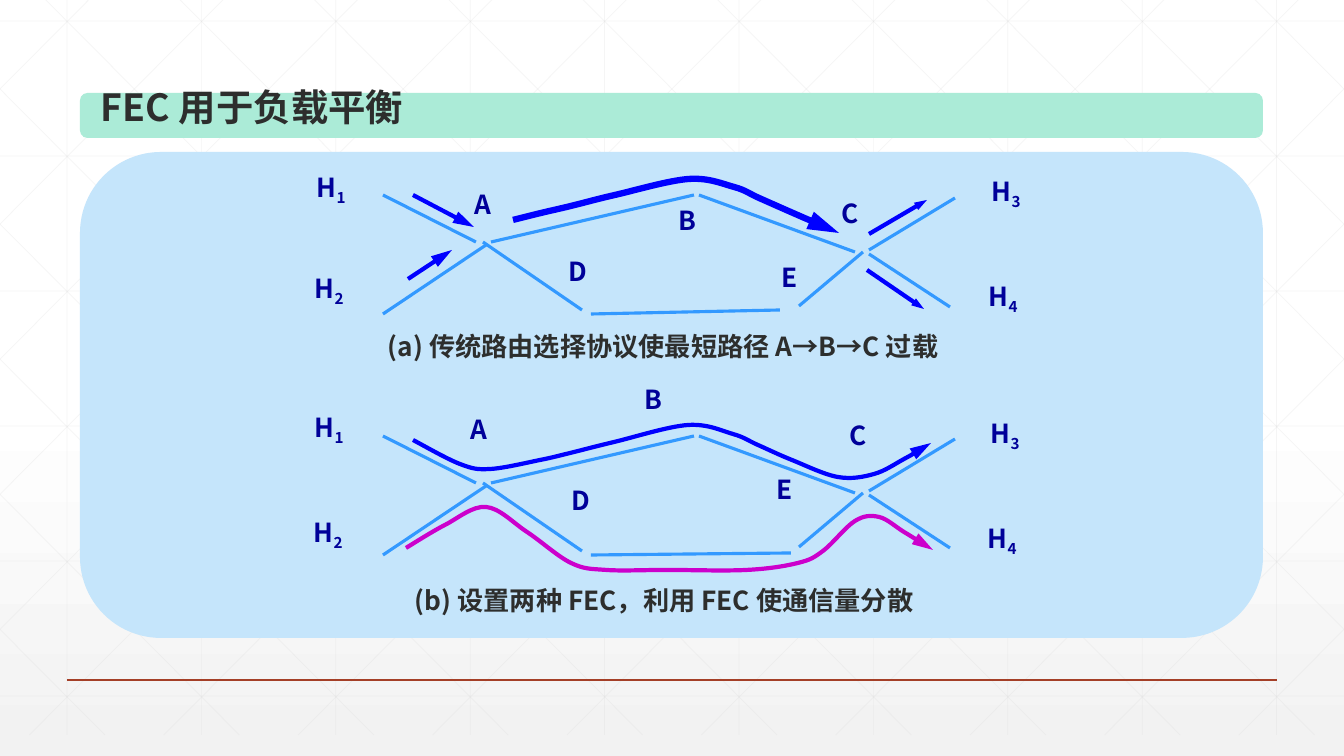
"""Build the slide on using FEC for load balancing."""
from lxml import etree
from pptx import Presentation
from pptx import util as u
from pptx.dml.color import RGBColor
from pptx.enum import shapes, text
from pptx.oxml.ns import qn

PX = 12192000 / 1344
WIDTH, HEIGHT = 1344, 756
FONT = "Noto Sans CJK SC"
WHITE = RGBColor(0xFF, 0xFF, 0xFF)
PALE_GREY = RGBColor(0xF2, 0xF2, 0xF2)
GRID_GREY = RGBColor(0xD9, 0xD9, 0xD9)
RULE_RED = RGBColor(0xA4, 0x3F, 0x27)
PANEL_BLUE = RGBColor(0xC5, 0xE5, 0xFB)
BAR_GREEN = RGBColor(0xAB, 0xEB, 0xD7)
INK = RGBColor(0x2D, 0x2E, 0x2D)
NAVY = RGBColor(0x00, 0x00, 0x99)
LINK_BLUE = RGBColor(0x33, 0x99, 0xFF)
FLOW_BLUE = RGBColor(0x00, 0x00, 0xFF)
FLOW_PURPLE = RGBColor(0xCC, 0x00, 0xCC)

deck = Presentation()
deck.slide_width, deck.slide_height = round(WIDTH * PX), round(HEIGHT * PX)
page = deck.slides.add_slide(deck.slide_layouts[6])


def draw(points, colour, width, head=None, alpha=None):
    """Draw a straight line through two points, or a smooth curve through more."""
    spots = [(round(x * PX), round(y * PX)) for x, y in points]
    if len(spots) == 2:
        shape = page.shapes.add_connector(shapes.MSO_CONNECTOR.STRAIGHT, *spots[0], *spots[1])
    else:
        around = [spots[0], *spots, spots[-1]]
        controls = []
        for before, start, end, after in zip(around, around[1:], around[2:], around[3:]):
            controls += [
                tuple(s + (e - b) / 6 for b, s, e in zip(before, start, end)),
                tuple(e - (a - s) / 6 for s, e, a in zip(start, end, after)),
                end,
            ]
        builder = page.shapes.build_freeform(*spots[0])
        builder.add_line_segments(controls, close=False)
        shape = builder.convert_to_shape()
        shape.fill.background()
        segments = list(shape.element.iter(qn("a:lnTo")))
        for first, second, third in zip(segments[::3], segments[1::3], segments[2::3]):
            first.tag = qn("a:cubicBezTo")
            for segment in (second, third):
                first.append(segment[0])
                segment.getparent().remove(segment)
    shape.line.color.rgb = colour
    shape.line.width = u.Pt(width)
    outline = shape.element.spPr.find(qn("a:ln"))
    if alpha:
        etree.SubElement(outline.find(".//" + qn("a:srgbClr")), qn("a:alpha"), val=str(alpha * 1000))
    if head:
        etree.SubElement(outline, qn("a:tailEnd"), type="triangle", w=head[0], len=head[1])
    etree.SubElement(shape.element.spPr, qn("a:effectLst"))


def write(words, left, top, width, height, size, colour, subscript="", wrap=False):
    """Place bold text, with an optional subscript after it."""
    box = page.shapes.add_textbox(*(round(n * PX) for n in (left, top, width, height)))
    frame = box.text_frame
    frame.word_wrap = wrap
    frame.auto_size = text.MSO_AUTO_SIZE.SHAPE_TO_FIT_TEXT
    para = frame.paragraphs[0]
    para.text = words
    para.line_spacing = 0.85
    if subscript:
        para.add_run().text = subscript
    for span in para.runs:
        span.font.name, span.font.size, span.font.bold = FONT, u.Pt(size), True
        span.font.color.rgb = colour
        properties = span.font.language_id and None or span._r.get_or_add_rPr()
        etree.SubElement(properties, qn("a:ea"), typeface=FONT)
    if subscript:
        properties.set("baseline", "-25000")


fill = page.background.fill
fill.gradient()
fill.gradient_angle = 270
stops = page.element.find(".//" + qn("a:gsLst"))
for stop in list(stops):
    stops.remove(stop)
for position, colour in ((0, WHITE), (53, WHITE), (100, PALE_GREY)):
    stop = etree.SubElement(stops, qn("a:gs"), pos=str(position * 1000))
    etree.SubElement(stop, qn("a:srgbClr"), val=str(colour))

GRID_TOP, GRID_BOTTOM, STEP, RUN = -21, 735, 134.4, 752
grid = [((x, GRID_TOP), (x, GRID_BOTTOM)) for x in (67 + STEP * i for i in range(10))]
grid += [((0, y), (WIDTH, y)) for y in (21 + 135 * i for i in range(6))]
for i in range(-5, 10):
    origin = 25 + STEP * i
    ends = [(x, GRID_TOP + (x - origin) * (GRID_BOTTOM - GRID_TOP) / RUN)
            for x in (max(0, origin), min(WIDTH, origin + RUN))]
    grid += [ends, [(WIDTH - x, y) for x, y in ends]]
for ends in grid:
    draw(ends, GRID_GREY, 0.5, alpha=25)
draw([(67, 680), (1277, 680)], RULE_RED, 1)

for top, height, colour in ((152, 486, PANEL_BLUE), (93, 45, BAR_GREEN)):
    panel = page.shapes.add_shape(
        shapes.MSO_SHAPE.ROUNDED_RECTANGLE, *(round(n * PX) for n in (80, top, 1183, height)))
    panel.fill.solid()
    panel.fill.fore_color.rgb = colour
    panel.line.fill.background()
    panel.shadow.inherit = False
write("FEC 用于负载平衡", 91, 86, 766, 55, 26.7, INK, wrap=True)

links = [
    ((383, 195), (476, 242)), ((383, 314), (486, 245)), ((491, 242), (694, 195)),
    ((699, 195), (855, 252)), ((483, 242), (582, 310)), ((799, 306), (863, 252)),
    ((869, 250), (955, 198)), ((869, 254), (950, 307)),
]
for drop, bottom_end in ((0, (780, 310)), (241, (791, 312))):
    for ends in links + [((591, 314), bottom_end)]:
        draw([(x, y + drop) for x, y in ends], LINK_BLUE, 2.25)

LONG, SHORT = ("med", "lg"), ("sm", "med")
flows = [
    ([(513, 220), (541, 213), (571, 206), (615, 195), (689, 179), (734, 187), (759, 198),
      (793, 213), (839, 233)], FLOW_BLUE, 4.5, LONG),
    ([(413, 195), (474, 227)], FLOW_BLUE, 3, LONG),
    ([(408, 279), (452, 250)], FLOW_BLUE, 3, LONG),
    ([(867, 270), (924, 309)], FLOW_BLUE, 3, SHORT),
    ([(869, 234), (927, 200)], FLOW_BLUE, 3, SHORT),
    ([(413, 440), (460, 464), (490, 469), (540, 460), (570, 453), (614, 442), (688, 425),
      (733, 434), (758, 445), (792, 460), (838, 477), (874, 474), (904, 459), (931, 443)],
     FLOW_BLUE, 3, LONG),
    ([(406, 548), (445, 525), (486, 507), (527, 532), (571, 563), (606, 570), (667, 570),
      (747, 570), (798, 563), (823, 551), (855, 521), (879, 517), (904, 532), (933, 550)],
     FLOW_PURPLE, 3, LONG),
]
for flow in flows:
    draw(*flow)

label_widths = {"A": 40, "B": 38, "C": 38, "D": 41, "E": 35, "H": 52}
label_spots = {
    "H1": [(307, 168), (305, 408)], "H2": [(305, 269), (304, 513)],
    "H3": [(982, 172), (981, 414)], "H4": [(979, 277), (978, 519)],
    "A": [(465, 188), (461, 413)], "B": [(669, 204), (635, 383)],
    "C": [(832, 197), (840, 419)], "D": [(559, 255), (562, 484)],
    "E": [(772, 261), (767, 473)],
}
for name, spots in label_spots.items():
    for left, top in spots:
        write(name[0], left, top, label_widths[name[0]], 42, 18.7, NAVY, name[1:])

write("(a) 传统路由选择协议使最短路径 A→B→C 过载", 378, 330, 591, 42, 18.7, INK)
write("(b) 设置两种 FEC，利用 FEC 使通信量分散", 405, 584, 534, 42, 18.7, INK, wrap=True)

deck.save("out.pptx")
